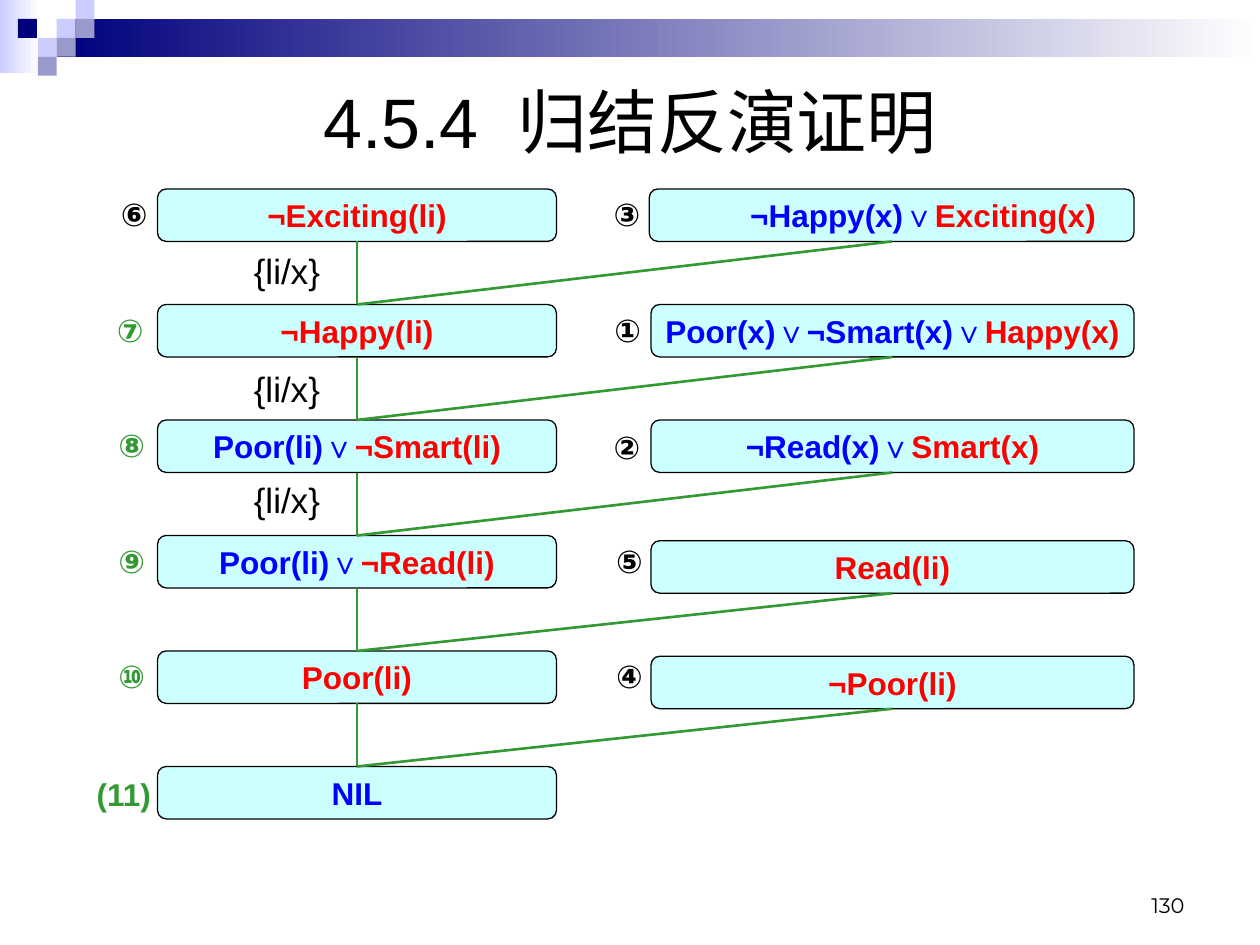
from typing import NamedTuple

from lxml import etree
from pptx import Presentation
from pptx import util as u
from pptx.dml.color import RGBColor
from pptx.enum import shapes, text
from pptx.oxml.ns import qn

COLOURS = {
    "black": "000000", "red": "FF0000", "blue": "0000FF", "green": "339933",
    "box": "CCFFFF", "white": "FFFFFF",
    "navy": "00007D", "lilac": "CCCCFF", "violet": "9999CC",
}
ROW_TOP, ROW_STEP, BOX_HEIGHT = 108, 66, 30
LEFT_X, LEFT_WIDTH = 90, 228
SQUARE = 10.8


class Span(NamedTuple):
    words: str
    colour: str
    spacing: int = 0  # hundredths of a point


class Clause(NamedTuple):
    left: float
    top: float
    width: float
    spans: list[Span]
    indent: float = 0
    before: float = 0


class Label(NamedTuple):
    left: float
    top: float
    width: float
    words: str
    colour: str = "black"
    size: float = 18
    bold: bool = True
    wrap: bool = False


class Square(NamedTuple):
    column: float
    row: int
    colour: str


def blue(words: str) -> Span:
    return Span(words, "blue")


def red(words: str) -> Span:
    return Span(words, "red")


def rgb(name: str) -> RGBColor:
    return RGBColor.from_string(COLOURS[name])


def add_spans(para, spans: list[Span], size: float, bold=False, font="Arial") -> None:
    for span in spans:
        run = para.add_run()
        run.text = span.words
        run.font.name, run.font.size, run.font.bold = font, u.Pt(size), bold
        run.font.color.rgb = rgb(span.colour)
        if span.spacing:
            run.font._element.set("spc", str(span.spacing))


def add_text(page, left, top, width, height, spans, size, bold=False, wrap=True,
             font="Arial", anchor=text.MSO_ANCHOR.TOP, align=text.PP_ALIGN.LEFT) -> None:
    box = page.shapes.add_textbox(u.Pt(left), u.Pt(top), u.Pt(width), u.Pt(height))
    frame = box.text_frame
    frame.word_wrap, frame.vertical_anchor = wrap, anchor
    para = frame.paragraphs[0]
    para.alignment = align
    add_spans(para, spans, size, bold, font)


def add_band(page, left, top, width, height, start, end=None) -> None:
    """Draw a borderless rectangle, fading to the end colour if one is given."""
    band = page.shapes.add_shape(shapes.MSO_SHAPE.RECTANGLE,
                                 u.Pt(left), u.Pt(top), u.Pt(width), u.Pt(height))
    band.shadow.inherit = False
    band.line.fill.background()
    if end is None:
        band.fill.solid()
        band.fill.fore_color.rgb = rgb(start)
        return
    band.fill.gradient()
    band.fill.gradient_angle = 0
    for stop, colour in zip(band.fill.gradient_stops, (start, end)):
        stop.color.rgb = rgb(colour)


def add_clause(page, clause: Clause):
    box = page.shapes.add_shape(shapes.MSO_SHAPE.ROUNDED_RECTANGLE,
                                u.Pt(clause.left), u.Pt(clause.top),
                                u.Pt(clause.width), u.Pt(BOX_HEIGHT))
    box.shadow.inherit = False
    box.fill.solid()
    box.fill.fore_color.rgb = rgb("box")
    box.line.color.rgb = rgb("black")
    box.line.width = u.Pt(0.75)
    frame = box.text_frame
    frame.word_wrap, frame.vertical_anchor = False, text.MSO_ANCHOR.MIDDLE
    para = frame.paragraphs[0]
    para.alignment = text.PP_ALIGN.CENTER
    if clause.indent:
        para._p.get_or_add_pPr().set("marL", str(u.Pt(clause.indent)))
        para.space_before = u.Pt(clause.before)
    add_spans(para, clause.spans, 18, bold=True)
    return box


def join(page, parent, child) -> None:
    """Run a line from the bottom of a parent clause to the top of its resolvent."""
    line = page.shapes.add_connector(shapes.MSO_CONNECTOR.STRAIGHT, 0, 0, 0, 0)
    line.begin_connect(parent, 2)
    line.end_connect(child, 0)
    line.line.color.rgb = rgb("green")
    line.line.width = u.Pt(1.5)
    etree.SubElement(line._element.spPr, qn("a:effectLst"))


SQUARES = [
    Square(3, 1, "lilac"), Square(4, 0, "lilac"), Square(4, 1, "violet"),
    Square(2, 2, "lilac"), Square(0.95, 1, "navy"), Square(3, 2, "violet"),
    Square(2, 3, "violet"),
]
RESOLVENTS = [
    [red("¬Exciting(li)")],
    [red("¬Happy(li)")],
    [blue("Poor(li)∨"), red("¬Smart(li)")],
    [blue("Poor(li)∨"), red("¬Read(li)")],
    [red("Poor(li)")],
    [blue("NIL")],
]
PREMISES = [
    Clause(371, 108, 277, [blue("¬Happy(x)∨"), red("Exciting(x)")], 36, 4.5),
    Clause(372, 174, 276, [blue("Poor(x)∨¬Smart(x)∨"), red("Happy(x)")]),
    Clause(372, 240, 276, [blue("¬Read(x)∨"), red("Smart(x)")]),
    Clause(372, 309, 276, [red("Read(li)")]),
    Clause(372, 375, 276, [red("¬Poor(li)")]),
]
LABELS = [
    *(Label(138, top, 108, "{li/x}", size=20, bold=False, wrap=True)
      for top in (139, 206.5, 270)),
    Label(62, 108, 29.5, "⑥"),
    Label(59.75, 174, 34.5, "⑦", "green", wrap=True),
    Label(60.5, 240, 32.4, "⑧", "green"),
    Label(60.5, 306, 32.4, "⑨", "green"),
    Label(60.5, 372, 32.4, "⑩", "green"),
    Label(48.2, 439.2, 46, "(11)", "green"),
    Label(343.5, 108, 29.5, "③"),
    Label(344, 174, 32.4, "①"),
    Label(343.5, 241.2, 32.4, "②", wrap=True),
    Label(345, 306, 29.5, "⑤"),
    Label(345, 372, 29.5, "④"),
]


def main() -> None:
    deck = Presentation()
    deck.slide_width, deck.slide_height = u.Pt(720), u.Pt(540)
    page = deck.slides.add_slide(deck.slide_layouts[6])

    add_band(page, 0, 0, 22.3, 41.8, "lilac", "white")
    add_band(page, 32.4, SQUARE, 687.6, 2 * SQUARE, "navy", "white")
    for square in SQUARES:
        add_band(page, square.column * SQUARE, square.row * SQUARE,
                 SQUARE, SQUARE, square.colour)

    title = [Span("4.5.4", "black"), Span(" ", "black", 1100),
             Span("归结反演证明", "black")]
    add_text(page, 36, 36, 648, 66, title, 40,
             anchor=text.MSO_ANCHOR.MIDDLE, align=text.PP_ALIGN.CENTER)

    chain = [add_clause(page, Clause(LEFT_X, ROW_TOP + row * ROW_STEP, LEFT_WIDTH, spans))
             for row, spans in enumerate(RESOLVENTS)]
    premises = [add_clause(page, premise) for premise in PREMISES]
    for parent, premise, child in zip(chain, premises, chain[1:]):
        join(page, parent, child)
        join(page, premise, child)

    for label in LABELS:
        add_text(page, label.left, label.top, label.width, 29,
                 [Span(label.words, label.colour)], label.size, label.bold, label.wrap)
    add_text(page, 516, 492, 168, 36, [Span("130", "black")], 12, font="Montserrat",
             anchor=text.MSO_ANCHOR.BOTTOM, align=text.PP_ALIGN.RIGHT)
    deck.save("out.pptx")


if __name__ == "__main__":
    main()
